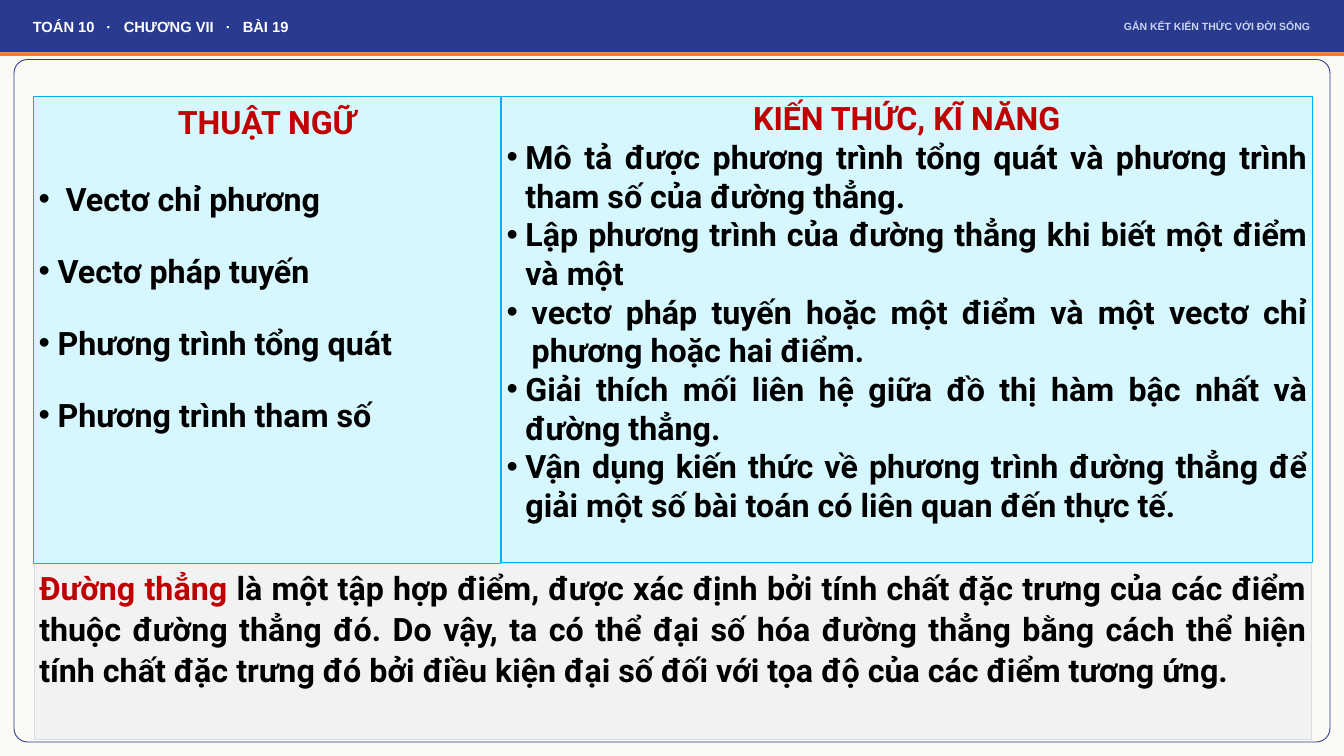
from pptx import Presentation
from pptx.dml.color import RGBColor
from pptx.enum import shapes, text
from pptx.util import Pt
from lxml import etree

NAVY = RGBColor(0x2A, 0x3B, 0x8F)
ORANGE = RGBColor(0xFF, 0x7A, 0x1A)
CREAM = RGBColor(0xFB, 0xFA, 0xF4)
AQUA = RGBColor(0xD6, 0xF7, 0xFE)
SKY = RGBColor(0x00, 0xB0, 0xF0)
GREY = RGBColor(0xF2, 0xF2, 0xF2)
MIST = RGBColor(0xD6, 0xDC, 0xE5)
PALE = RGBColor(0xCA, 0xD3, 0xF0)
RED = RGBColor(0xC0, 0x00, 0x00)
BLACK = RGBColor(0x00, 0x00, 0x00)
WHITE = RGBColor(0xFF, 0xFF, 0xFF)

RECT = shapes.MSO_SHAPE.RECTANGLE
ROUND = shapes.MSO_SHAPE.ROUNDED_RECTANGLE
ALIGN = text.PP_ALIGN
TOP = text.MSO_ANCHOR.TOP
MID = text.MSO_ANCHOR.MIDDLE
NS = "{http://schemas.openxmlformats.org/drawingml/2006/main}"
BODY = {"name": "Roboto", "size": Pt(46)}

TERMS = [" Vectơ chỉ phương", "Vectơ pháp tuyến",
         "Phương trình tổng quát", "Phương trình tham số"]
SKILLS = [
    "Mô tả được phương trình tổng quát và phương trình tham số của đường thẳng.",
    "Lập phương trình của đường thẳng khi biết một điểm và một",
    "vectơ pháp tuyến hoặc một điểm và một vectơ chỉ phương hoặc hai điểm.",
    "Giải thích mối liên hệ giữa đồ thị hàm bậc nhất và đường thẳng.",
    "Vận dụng kiến thức về phương trình đường thẳng để giải một số bài toán "
    "có liên quan đến thực tế.",
]


def apply(item, values):
    for key, val in values.items():
        setattr(item, key, val)


def place(slide, shape, box):
    """Move a shape to a box and bring it to the front."""
    names = ("left", "top", "width", "height")
    apply(shape, dict(zip(names, map(Pt, box))))
    slide.shapes.element.append(shape.element)


def paint(shape, fill=None, line=None, width=0.75):
    if fill is None:
        shape.fill.background()
    else:
        shape.fill.solid()
        shape.fill.fore_color.rgb = fill
    if line is None:
        shape.line.fill.background()
    else:
        shape.line.color.rgb = line
        shape.line.width = Pt(width)


def block(slide, box, kind=RECT, **look):
    shape = slide.shapes.add_shape(kind, *map(Pt, box))
    shape.shadow.inherit = False
    paint(shape, **look)
    return shape


def frame(shape, anchor, inset=3.6):
    tf = shape.text_frame
    apply(tf, {"word_wrap": True, "auto_size": text.MSO_AUTO_SIZE.NONE,
               "vertical_anchor": anchor,
               "margin_left": Pt(7.2), "margin_right": Pt(7.2),
               "margin_top": Pt(inset), "margin_bottom": Pt(inset)})
    return tf


def write(para, words, color, font):
    run = para.add_run()
    run.text = words
    apply(run.font, {"bold": True, **font})
    run.font.color.rgb = color


def layout(para, align, line=1.0, before=0, after=0):
    apply(para, {"alignment": align, "line_spacing": line,
                 "space_before": Pt(before), "space_after": Pt(after)})


def indent(para, size, mark=None):
    """Hang the paragraph by size points behind a bullet, or clear both."""
    props = para._p.get_or_add_pPr()
    props.set("marL", str(Pt(size)))
    props.set("indent", str(-Pt(size)))
    if mark:
        etree.SubElement(props, NS + "buChar", char=mark)
    else:
        etree.SubElement(props, NS + "buNone")


def panel(slide, shape, box, title, items, head, body, wide=()):
    """Fill a body placeholder with a heading and its bulleted list."""
    place(slide, shape, box)
    paint(shape, AQUA, SKY)
    tf = frame(shape, TOP)
    first = tf.paragraphs[0]
    indent(first, 0)
    layout(first, ALIGN.CENTER, **head)
    write(first, title, RED, BODY)
    for pos, item in enumerate(items):
        para = tf.add_paragraph()
        indent(para, 36 if pos in wide else 27, "•")
        layout(para, ALIGN.JUSTIFY, **body)
        write(para, item, BLACK, BODY)


def summary(slide, box):
    shape = block(slide, box, fill=GREY, line=MIST)
    para = frame(shape, TOP).paragraphs[0]
    layout(para, ALIGN.JUSTIFY, line=1.07, after=8)
    write(para, "Đường thẳng ", RED, BODY)
    write(para, "là một tập hợp điểm, được xác định bởi tính chất đặc trưng "
          "của các điểm thuộc đường thẳng đó. Do vậy, ta có thể đại số hóa "
          "đường thẳng bằng cách thể hiện tính chất đặc trưng đó bởi điều "
          "kiện đại số đối với tọa độ của các điểm tương ứng.", BLACK, BODY)


def header(slide, box):
    x, y, w, h = box
    block(slide, box, fill=NAVY)
    block(slide, (x, y + h, w, 5), fill=ORANGE)

    title = slide.shapes.title
    place(slide, title, (x + 39.6, y, 936, h))
    para = frame(title, MID, 0).paragraphs[0]
    layout(para, ALIGN.LEFT)
    tabs = etree.SubElement(para._p.get_or_add_pPr(), NS + "tabLst")
    for stop in (105, 130, 276, 300):
        etree.SubElement(tabs, NS + "tab", pos=str(Pt(stop)), algn="l")
    write(para, "TOÁN 10\t·\tCHƯƠNG VII\t·\tBÀI 19", WHITE,
          {"name": "Arial", "size": Pt(21)})

    motto = slide.shapes.add_textbox(*map(Pt, (x + 936, y, w - 977, h)))
    para = frame(motto, MID, 0).paragraphs[0]
    layout(para, ALIGN.RIGHT)
    write(para, "GẮN KẾT KIẾN THỨC VỚI ĐỜI SỐNG", PALE,
          {"name": "Arial", "size": Pt(15)})


def main():
    deck = Presentation()
    apply(deck, {"slide_width": Pt(1920), "slide_height": Pt(1080)})
    slide = deck.slides.add_slide(deck.slide_layouts.get_by_name("Two Content"))
    left, right = list(slide.placeholders)[1:3]

    block(slide, (0, 0, 1920, 1080), fill=CREAM)
    summary(slide, (49, 804, 1824, 252))
    panel(slide, left, (48, 138, 666, 666), "THUẬT NGỮ", TERMS,
          head={"line": 1.07, "after": 8}, body={"line": 1.5, "before": 20})
    panel(slide, right, (716.4, 137.5, 1158, 666), "KIẾN THỨC, KĨ NĂNG",
          SKILLS, head={}, body={}, wide=(2,))
    border = block(slide, (20, 85, 1880, 975), ROUND, line=NAVY, width=1.25)
    border.adjustments[0] = 0.02
    header(slide, (0, 0, 1920, 75))
    deck.save("out.pptx")


if __name__ == "__main__":
    main()
